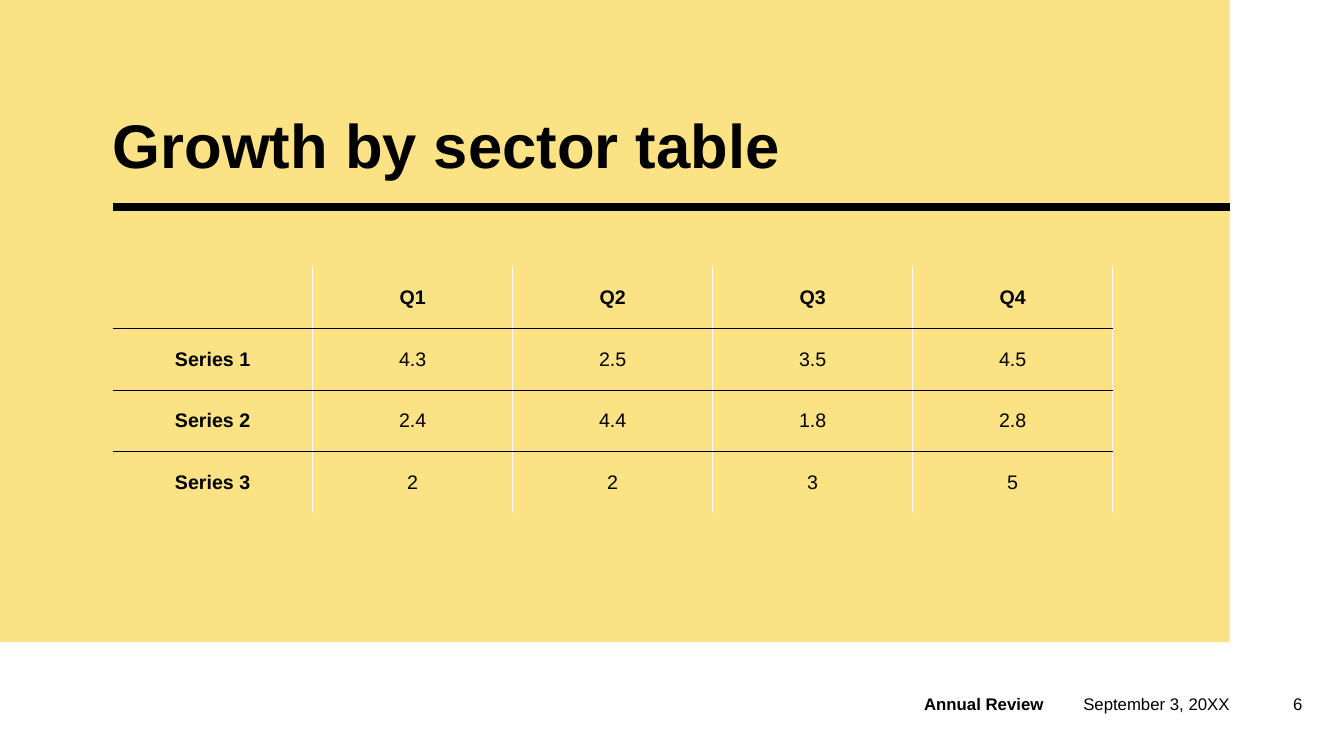
from lxml.etree import SubElement
from pptx import Presentation
from pptx.dml.color import RGBColor
from pptx.enum.shapes import MSO_CONNECTOR, MSO_SHAPE
from pptx.enum.text import MSO_ANCHOR, PP_ALIGN
from pptx.oxml.ns import qn
from pptx.util import Cm, Pt

BLACK = RGBColor(0x00, 0x00, 0x00)
WHITE = RGBColor(0xFF, 0xFF, 0xFF)
YELLOW = RGBColor(0xFB, 0xE2, 0x84)

LEFT, PANEL_RIGHT = 2.84, 30.99
FOOTER_TOP, FOOTER_HEIGHT = 17.48, 0.51
COLUMN_WIDTH, ROW_HEIGHT = 5.04, 1.55

GROWTH = [
    ["", "Q1", "Q2", "Q3", "Q4"],
    ["Series 1", "4.3", "2.5", "3.5", "4.5"],
    ["Series 2", "2.4", "4.4", "1.8", "2.8"],
    ["Series 3", "2", "2", "3", "5"],
]


def write(frame, text, size=12, bold=False, align=PP_ALIGN.LEFT, spacing=1.0):
    paragraph = frame.paragraphs[0]
    paragraph.alignment = align
    paragraph.line_spacing = spacing
    span = paragraph.add_run()
    span.text = text
    span.font.name = "Arial"
    span.font.size = Pt(size)
    span.font.bold = bold
    span.font.color.rgb = BLACK


def set_border(cell, side, color):
    line = SubElement(cell._tc.get_or_add_tcPr(), qn(f"a:ln{side}"), w=str(Pt(1)))
    if color is None:
        SubElement(line, qn("a:noFill"))
    else:
        fill = SubElement(line, qn("a:solidFill"))
        SubElement(fill, qn("a:srgbClr"), val=str(color))


class SlideBuilder:
    """Holds the style and the current slide and adds each kind of element."""

    def __init__(self, deck):
        self.page = deck.slides.add_slide(deck.slide_layouts[5])
        self.shapes = self.page.shapes

    def panel(self, left, top, width, height, color):
        box = self.shapes.add_shape(
            MSO_SHAPE.RECTANGLE, Cm(left), Cm(top), Cm(width), Cm(height))
        box.shadow.inherit = False
        box.fill.solid()
        box.fill.fore_color.rgb = color
        box.line.fill.background()

    def rule(self, left, right, top, weight):
        line = self.shapes.add_connector(
            MSO_CONNECTOR.STRAIGHT, Cm(left), Cm(top), Cm(right), Cm(top))
        line.line.color.rgb = BLACK
        line.line.width = Pt(weight)
        SubElement(line._element.spPr, qn("a:effectLst"))

    def title(self, text, left, top, width, height):
        box = self.shapes.title
        box.left, box.top, box.width, box.height = map(Cm, (left, top, width, height))
        frame = box.text_frame
        frame.margin_left = frame.margin_right = 0
        frame.margin_top = frame.margin_bottom = 0
        frame.vertical_anchor = MSO_ANCHOR.BOTTOM
        write(frame, text, size=44, bold=True, spacing=0.9)
        self.shapes._spTree.append(box._element)

    def table(self, rows, left, top):
        last_row, last_column = len(rows) - 1, len(rows[0]) - 1
        table = self.shapes.add_table(
            len(rows), len(rows[0]), Cm(left), Cm(top),
            Cm(COLUMN_WIDTH * len(rows[0])), Cm(ROW_HEIGHT * len(rows))).table
        table.first_row = table.horz_banding = False
        for column in table.columns:
            column.width = Cm(COLUMN_WIDTH)
        for y, values in enumerate(rows):
            table.rows[y].height = Cm(ROW_HEIGHT)
            for x, value in enumerate(values):
                cell = table.cell(y, x)
                set_border(cell, "L", WHITE if x > 0 else None)
                set_border(cell, "R", WHITE)
                set_border(cell, "T", BLACK if y > 0 else None)
                set_border(cell, "B", BLACK if y < last_row else None)
                cell.fill.background()
                cell.vertical_anchor = MSO_ANCHOR.MIDDLE
                if value:
                    write(cell.text_frame, value, size=14,
                          bold=x == 0 or y == 0, align=PP_ALIGN.CENTER)

    def footer(self, text, left, width, inset=0.25, **style):
        box = self.shapes.add_textbox(
            Cm(left), Cm(FOOTER_TOP), Cm(width), Cm(FOOTER_HEIGHT))
        frame = box.text_frame
        frame.word_wrap = True
        frame.margin_left = frame.margin_right = Cm(inset)
        frame.vertical_anchor = MSO_ANCHOR.MIDDLE
        write(frame, text, **style)


deck = Presentation()
deck.slide_width, deck.slide_height = Cm(33.87), Cm(19.05)

builder = SlideBuilder(deck)
builder.panel(0, 0, PANEL_RIGHT, 16.18, YELLOW)
builder.rule(LEFT, PANEL_RIGHT, 5.21, 6)
builder.title("Growth by sector table", LEFT, 2.77, 28.04, 1.8)
builder.table(GROWTH, LEFT, 6.73)
builder.footer("September 3, 20XX", 27.3, 4.24, inset=0)
builder.footer("Annual Review", 23.04, 4.06, bold=True)
builder.footer("6", 31.93, 1.14, align=PP_ALIGN.RIGHT)

deck.save("out.pptx")
